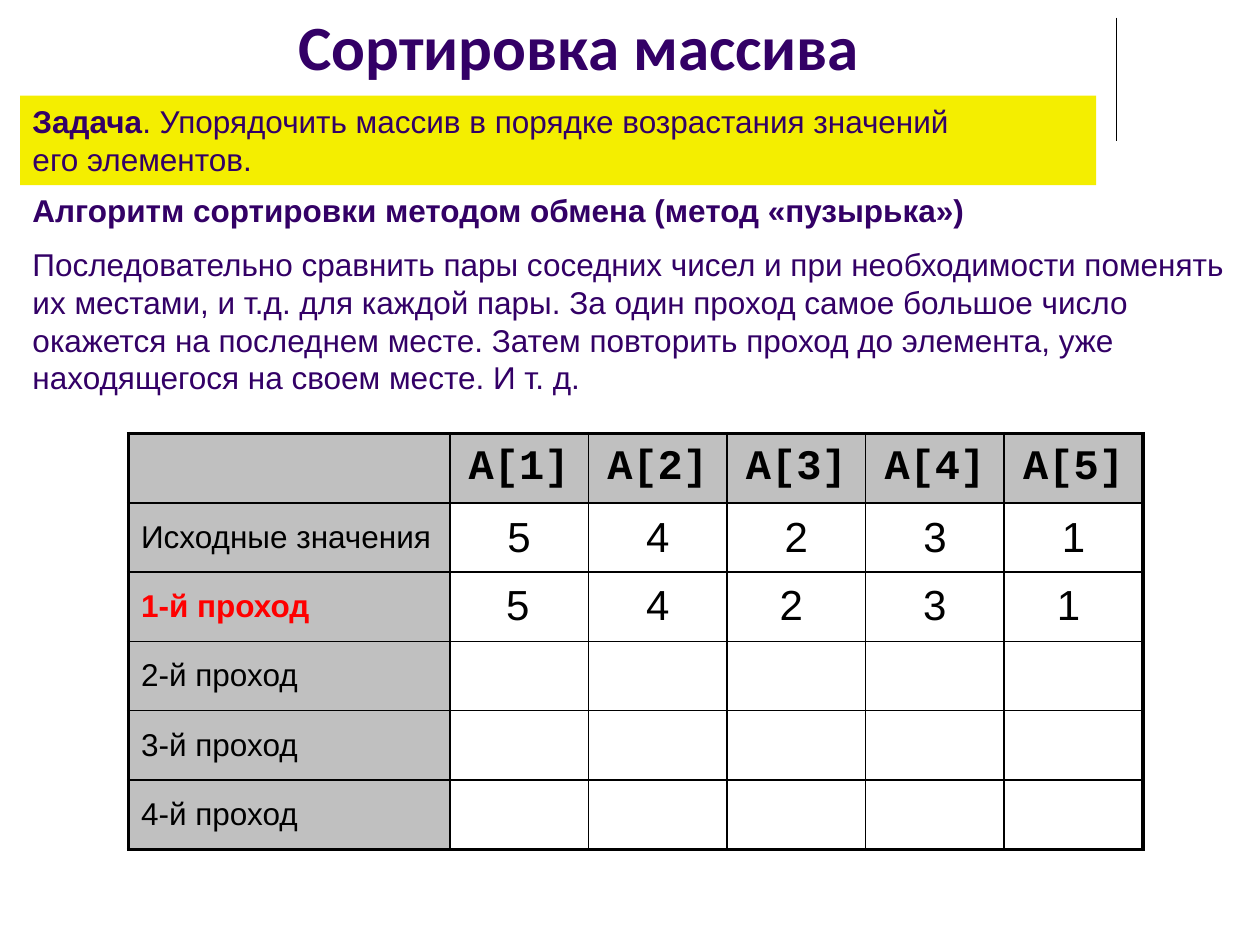
import pptx
import pptx.util
import pptx.dml.color
import pptx.enum.shapes
import pptx.enum.text
import pptx.oxml
import pptx.oxml.ns
import lxml.etree

Inches, Pt = pptx.util.Inches, pptx.util.Pt
RGBColor = pptx.dml.color.RGBColor
ALIGN = pptx.enum.text.PP_ALIGN
ANCHOR = pptx.enum.text.MSO_ANCHOR
qn = pptx.oxml.ns.qn

PURPLE = RGBColor(0x33, 0x00, 0x66)
YELLOW = RGBColor(0xF4, 0xEE, 0x00)
GREY = RGBColor(0xC0, 0xC0, 0xC0)
RED = RGBColor(0xFF, 0x00, 0x00)
BLACK = RGBColor(0x00, 0x00, 0x00)


def style(para, size, color, bold=False, font="Arial", align=ALIGN.LEFT):
    para.alignment = align
    for run in para.runs:
        run.font.size = Pt(size)
        run.font.color.rgb = color
        run.font.bold = bold
        run.font.name = font


def border(cell, sides):
    props = cell._tc.get_or_add_tcPr()
    for side, width in sides.items():
        line = lxml.etree.SubElement(props, qn("a:ln" + side), w=str(Pt(width)))
        fill = lxml.etree.SubElement(line, qn("a:solidFill"))
        lxml.etree.SubElement(fill, qn("a:srgbClr"), val=str(BLACK))


deck = pptx.Presentation()
deck.slide_width, deck.slide_height = Inches(10), Inches(7.5)
slide = deck.slides.add_slide(deck.slide_layouts[6])
shapes = slide.shapes

# Vertical rule at the top right
rule = shapes.add_connector(pptx.enum.shapes.MSO_CONNECTOR.STRAIGHT,
                            Inches(8.86), Inches(0.14), Inches(8.86), Inches(1.12))
rule.line.color.rgb = BLACK
rule.line.width = Pt(0.75)
lxml.etree.SubElement(rule._element.spPr, qn("a:effectLst"))

# Title
title = shapes.add_textbox(Inches(0.47), Inches(0), Inches(8.25), Inches(0.71))
frame = title.text_frame
frame.word_wrap = True
frame.vertical_anchor = ANCHOR.BOTTOM
frame.text = "Сортировка массива"
style(frame.paragraphs[0], 36, PURPLE, True, "Calibri", ALIGN.CENTER)

# Method description
method = shapes.add_textbox(Inches(0.16), Inches(1.47), Inches(9.73), Inches(1.75))
frame = method.text_frame
frame.word_wrap = True
frame.text = "Алгоритм сортировки методом обмена (метод «пузырька»)"
style(frame.paragraphs[0], 18, PURPLE, True)
para = frame.add_paragraph()
para.text = ("Последовательно сравнить пары соседних чисел и при необходимости "
             "поменять их местами, и т.д. для каждой пары. За один проход самое "
             "большое число окажется на последнем месте. Затем повторить проход "
             "до элемента, уже находящегося на своем месте. И т. д.")
para.space_before = Pt(9)
style(para, 18, PURPLE)

# Table of passes
rows = [
    ["", "A[1]", "A[2]", "A[3]", "A[4]", "A[5]"],
    ["Исходные значения", "5", "4", "2", "3", "1"],
    ["1-й проход"], ["2-й проход"], ["3-й проход"], ["4-й проход"],
]
last_row, last_col = len(rows) - 1, len(rows[0]) - 1
table = shapes.add_table(len(rows), len(rows[0]), Inches(1.02), Inches(3.44),
                         Inches(8.05), Inches(3.3)).table
table.first_row = table.horz_banding = False
for c, col in enumerate(table.columns):
    col.width = Inches(1.1 if c else 2.55)
for r, row in enumerate(table.rows):
    row.height = Inches(0.55)
    for c, cell in enumerate(row.cells):
        border(cell, {"L": 1 if c else 2.25,
                      "R": 2.25 if c == last_col else 1,
                      "T": 1 if r else 2.25,
                      "B": 2.25 if r == last_row else 1})
        if r == 0 or c == 0:
            cell.fill.solid()
            cell.fill.fore_color.rgb = GREY
        else:
            cell.fill.background()
        cell.vertical_anchor = ANCHOR.MIDDLE
        if c >= len(rows[r]):
            continue
        cell.text_frame.text = rows[r][c]
        para = cell.text_frame.paragraphs[0]
        if c == 0:
            now = r == 2
            style(para, 18, RED if now else BLACK, now)
        else:
            head = r == 0
            style(para, 24, BLACK, head, "Courier New" if head else "Arial", ALIGN.CENTER)

# Loose numbers of the first pass
for left, num in zip([3.58, 4.69, 5.75, 6.89, 7.95], rows[1][1:]):
    box = shapes.add_textbox(Inches(left), Inches(4.54), Inches(1.06), Inches(0.5))
    box.text_frame.word_wrap = True
    box.text_frame.text = num
    style(box.text_frame.paragraphs[0], 24, BLACK, align=ALIGN.CENTER)

# Task banner
task = shapes.add_shape(pptx.enum.shapes.MSO_SHAPE.RECTANGLE,
                        Inches(0.16), Inches(0.76), Inches(8.54), Inches(0.71))
task.shadow.inherit = False
task.fill.solid()
task.fill.fore_color.rgb = YELLOW
task.line.fill.background()
frame = task.text_frame
frame.word_wrap = True
frame.vertical_anchor = ANCHOR.TOP
para = frame.paragraphs[0]
para.text = "Задача"
para.add_run().text = ". Упорядочить массив в порядке возрастания значений "
para.add_line_break()
para.add_run().text = "его элементов."
style(para, 18, PURPLE)
para.runs[0].font.bold = True

deck.save("out.pptx")
